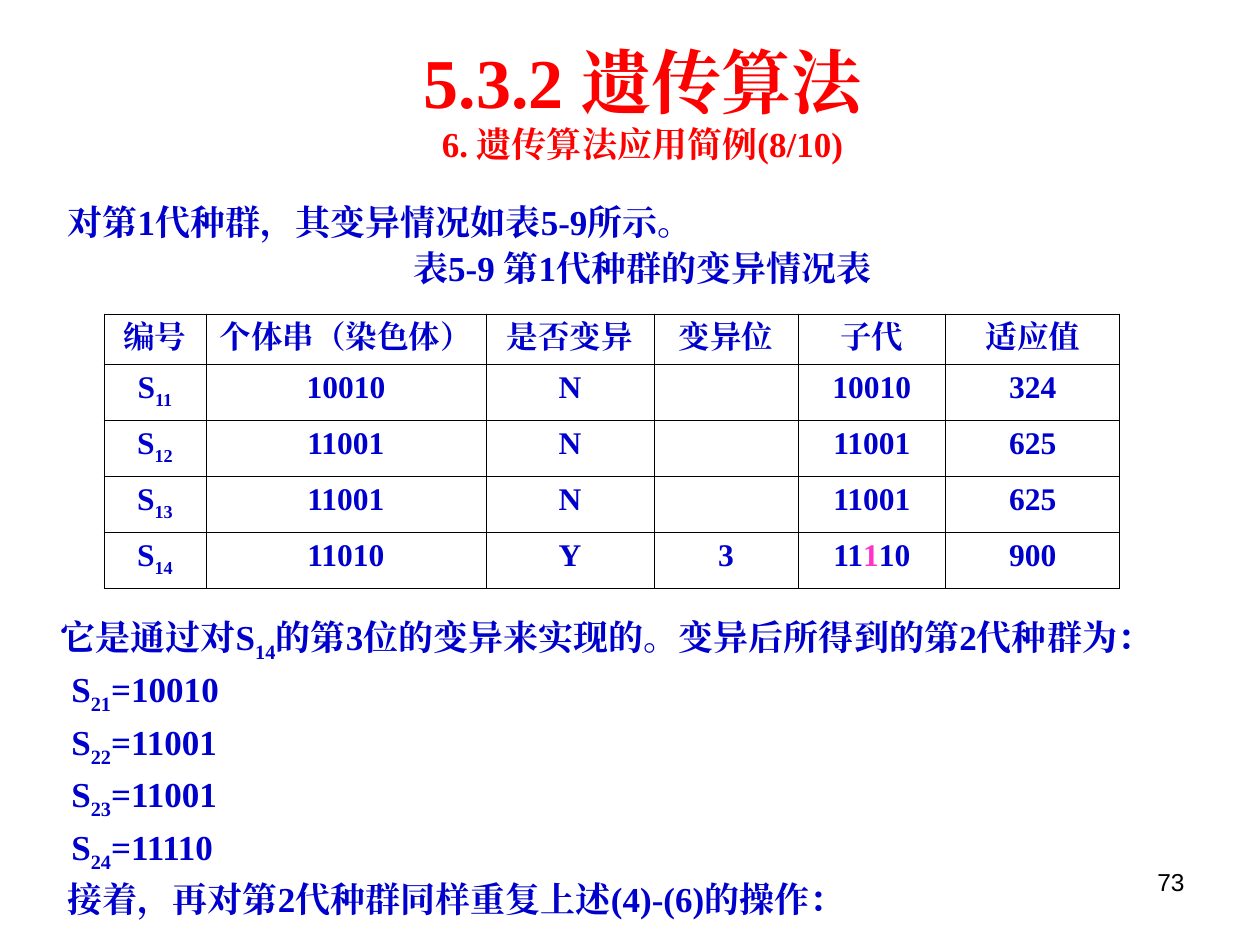
"""Build the slide on the mutation step of a genetic algorithm example."""

from dataclasses import dataclass

import lxml.etree
import pptx
import pptx.dml.color
import pptx.enum.text
import pptx.oxml.ns
import pptx.util

PX = 914400 // 126
FONT = "Times New Roman"
RED = pptx.dml.color.RGBColor(0xFF, 0x00, 0x00)
BLUE = pptx.dml.color.RGBColor(0x00, 0x00, 0xCC)
PINK = pptx.dml.color.RGBColor(0xFF, 0x33, 0xCC)
BLACK = pptx.dml.color.RGBColor(0x00, 0x00, 0x00)
LEFT = pptx.enum.text.PP_ALIGN.LEFT
CENTER = pptx.enum.text.PP_ALIGN.CENTER
RIGHT = pptx.enum.text.PP_ALIGN.RIGHT


@dataclass(frozen=True)
class Run:
    text: str
    subscript: bool = False
    color: pptx.dml.color.RGBColor | None = None


@dataclass(frozen=True)
class Line:
    runs: tuple[Run, ...]
    size: int = 20
    color: pptx.dml.color.RGBColor = BLUE
    align: pptx.enum.text.PP_ALIGN = LEFT
    font: str = FONT
    bold: bool = True
    indent: int = 0
    space_before: int = 0
    spacing: float = 1.0


def plain(text: str) -> tuple[Run, ...]:
    return (Run(text),)


def indexed(index: str, after: str = "", before: str = "") -> tuple[Run, ...]:
    runs = (Run(before + "S"), Run(index, subscript=True))
    return runs + plain(after) if after else runs


def write_line(paragraph, line: Line) -> None:
    for part in line.runs:
        run = paragraph.add_run()
        run.text = part.text
        if part.subscript:
            run.font._element.set("baseline", "-25000")
        if part.color is not None:
            run.font.color.rgb = part.color
    paragraph.alignment = line.align
    paragraph.line_spacing = line.spacing
    if line.space_before:
        paragraph.space_before = pptx.util.Pt(line.space_before)
    font = paragraph.font
    font.size = pptx.util.Pt(line.size)
    font.bold = line.bold
    font.color.rgb = line.color
    font.name = line.font
    east_asian = lxml.etree.SubElement(font._element, pptx.oxml.ns.qn("a:ea"))
    east_asian.set("typeface", line.font)
    if line.indent:
        paragraph._p.pPr.set("marL", str(line.indent * PX))
        paragraph._p.pPr.set("indent", "0")


def add_text(slide, left: int, top: int, width: int, height: int, lines: list[Line]) -> None:
    box = slide.shapes.add_textbox(left * PX, top * PX, width * PX, height * PX)
    frame = box.text_frame
    frame.word_wrap = True
    for number, line in enumerate(lines):
        write_line(frame.add_paragraph() if number else frame.paragraphs[0], line)


def add_borders(cell) -> None:
    properties = cell._tc.get_or_add_tcPr()
    for position, side in enumerate(("a:lnL", "a:lnR", "a:lnT", "a:lnB")):
        border = lxml.etree.Element(pptx.oxml.ns.qn(side), w="5715")
        fill = lxml.etree.SubElement(border, pptx.oxml.ns.qn("a:solidFill"))
        lxml.etree.SubElement(fill, pptx.oxml.ns.qn("a:srgbClr"), val=str(BLACK))
        properties.insert(position, border)


def add_mutation_table(slide, left: int, top: int, widths: list[int], heights: list[int],
                       rows: list[list[tuple[Run, ...]]]) -> None:
    frame = slide.shapes.add_table(len(rows), len(widths), left * PX, top * PX,
                                   sum(widths) * PX, sum(heights) * PX)
    table = frame.table
    for column, width in zip(table.columns, widths):
        column.width = width * PX
    for row, height, contents in zip(table.rows, heights, rows):
        row.height = height * PX
        for cell, runs in zip(row.cells, contents):
            cell.fill.background()
            add_borders(cell)
            write_line(cell.text_frame.paragraphs[0], Line(runs, size=18, align=CENTER))


def main() -> None:
    presentation = pptx.Presentation()
    presentation.slide_width = 1260 * PX
    presentation.slide_height = 945 * PX
    slide = presentation.slides.add_slide(presentation.slide_layouts[6])

    add_text(slide, 903, 861, 294, 66,
             [Line(plain("73"), 14, BLACK, RIGHT, "Arial", bold=False)])

    populations = (("21", "10010"), ("22", "11001"), ("23", "11001"), ("24", "11110"))
    mutation = indexed("14", "的第3位的变异来实现的。变异后所得到的第2代种群为：", "它是通过对")
    add_text(slide, 25, 190, 1235, 737, [
        Line(plain("对第1代种群，其变异情况如表5-9所示。"), indent=30, spacing=1.1),
        Line(plain("表5-9 第1代种群的变异情况表"), align=CENTER, spacing=1.1),
        Line(mutation, indent=23, space_before=184, spacing=1.1),
        *(Line(indexed(index, f"={bits}"), indent=34, spacing=1.1)
          for index, bits in populations),
        Line(plain("接着，再对第2代种群同样重复上述(4)-(6)的操作："), indent=30, spacing=1.1),
    ])

    headings = ("编号", "个体串（染色体）", "是否变异", "变异位", "子代", "适应值")
    unchanged = (("11", "10010", "324"), ("12", "11001", "625"), ("13", "11001", "625"))
    rows = [[plain(heading) for heading in headings]]
    rows += [[indexed(index), plain(bits), plain("N"), (), plain(bits), plain(fitness)]
             for index, bits, fitness in unchanged]
    offspring = (Run("11"), Run("1", color=PINK), Run("10"))
    rows.append([indexed("14"), plain("11010"), plain("Y"), plain("3"), offspring, plain("900")])
    add_mutation_table(slide, 104, 314, [102, 280, 168, 144, 148, 174], [50] + [56] * 4, rows)

    add_text(slide, 258, 32, 769, 139, [
        Line(plain("5.3.2 遗传算法"), 40, RED, CENTER),
        Line(plain("6. 遗传算法应用简例(8/10)"), 20, RED, CENTER),
    ])

    presentation.save("out.pptx")


if __name__ == "__main__":
    main()
